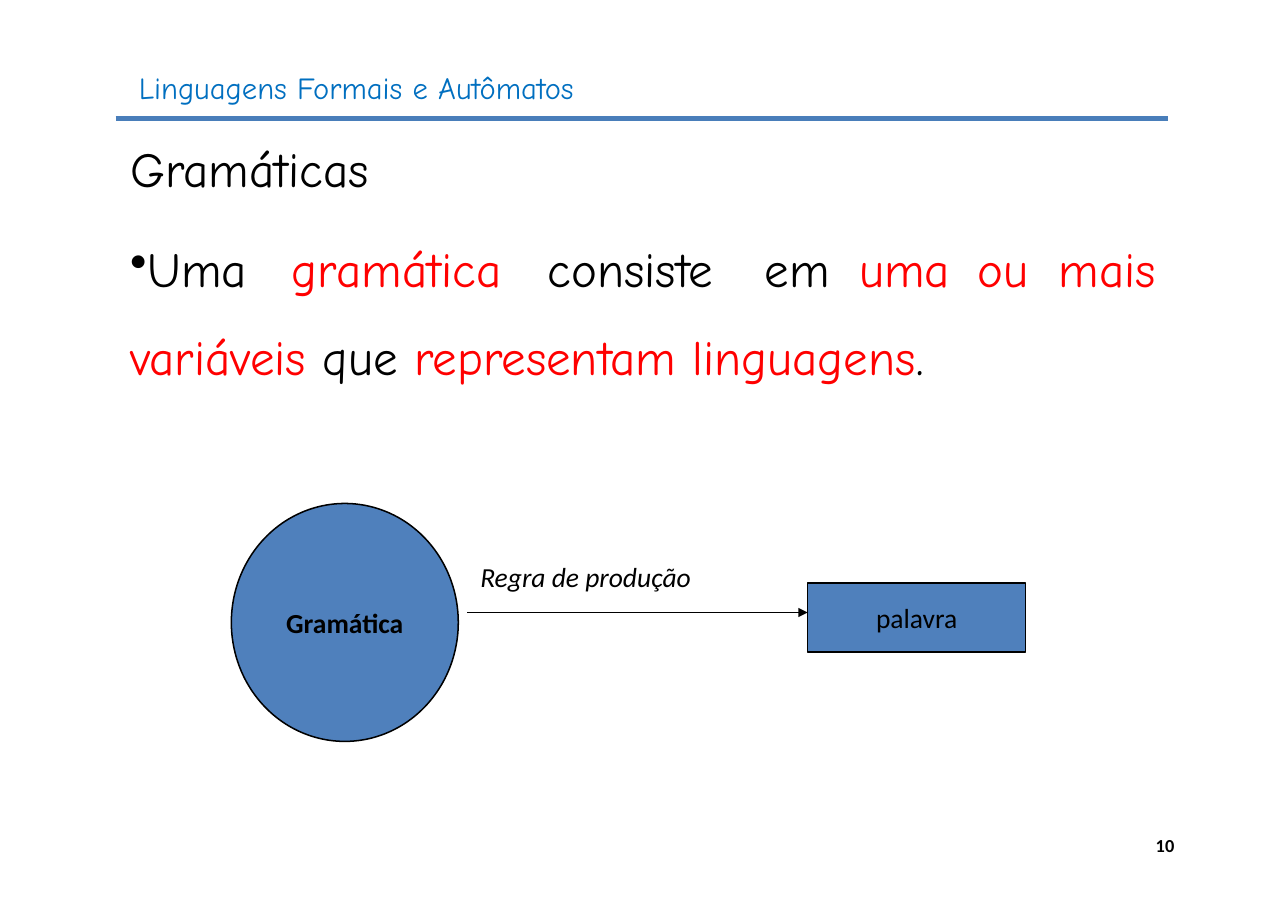
from dataclasses import dataclass

import pptx
import pptx.dml.color
import pptx.enum.shapes
import pptx.enum.text
import pptx.oxml.ns
import pptx.util
from lxml import etree
from pptx.util import Inches


@dataclass(frozen=True)
class Theme:
    hand: str = "Comic Neue"
    sans: str = "Calibri"
    black: str = "000000"
    red: str = "FF0000"
    header: str = "006FC0"
    rule: str = "497EBA"
    node: str = "4F80BC"
    body_size: int = 32
    header_size: int = 20
    label_size: int = 18
    number_size: int = 12


THEME = Theme()


def rgb(value):
    return pptx.dml.color.RGBColor.from_string(value)


def add_element(parent, tag, **attributes):
    element = etree.SubElement(parent, pptx.oxml.ns.qn(tag))
    for name, value in attributes.items():
        element.set(name, str(value))
    return element


def add_run(p, text, font, size, color=THEME.black, bold=False, italic=False):
    r = p.add_run()
    r.text = text
    r.font.name = font
    r.font.size = pptx.util.Pt(size)
    r.font.color.rgb = rgb(color)
    r.font.bold = bold
    r.font.italic = italic


def set_margins(tf):
    tf.margin_left = tf.margin_top = tf.margin_right = tf.margin_bottom = 0
    tf.word_wrap = True


def add_text(s, left, top, width, height):
    """Add an empty text box without margins and return its text frame."""
    tf = s.shapes.add_textbox(Inches(left), Inches(top), Inches(width), Inches(height)).text_frame
    set_margins(tf)
    return tf


def add_bullet(p, tab_stops):
    """Give the paragraph a bullet without hanging indent, and left tab stops in inches."""
    pPr = p._p.get_or_add_pPr()
    add_element(pPr, "a:buChar", char="•")
    tabs = add_element(pPr, "a:tabLst")
    for stop in tab_stops:
        add_element(tabs, "a:tab", pos=int(Inches(stop)), algn="l")


def add_node(s, kind, left, top, width, height, text, bold=False):
    sp = s.shapes.add_shape(kind, Inches(left), Inches(top), Inches(width), Inches(height))
    sp.shadow.inherit = False
    sp.fill.solid()
    sp.fill.fore_color.rgb = rgb(THEME.node)
    sp.line.color.rgb = rgb(THEME.black)
    sp.line.width = pptx.util.Pt(1)
    tf = sp.text_frame
    set_margins(tf)
    tf.vertical_anchor = pptx.enum.text.MSO_ANCHOR.MIDDLE
    p = tf.paragraphs[0]
    p.alignment = pptx.enum.text.PP_ALIGN.CENTER
    add_run(p, text, THEME.sans, THEME.label_size, bold=bold)


def add_line(s, left, right, y, color, width, arrow=False):
    line = s.shapes.add_connector(
        pptx.enum.shapes.MSO_CONNECTOR.STRAIGHT, Inches(left), Inches(y), Inches(right), Inches(y))
    line.line.color.rgb = rgb(color)
    line.line.width = pptx.util.Pt(width)
    if arrow:
        add_element(line.line._get_or_add_ln(), "a:tailEnd", type="triangle")
    add_element(line._element.spPr, "a:effectLst")


def add_header(s):
    tf = add_text(s, 1.26, 0.63, 6.15, 0.36)
    add_run(tf.paragraphs[0], "Linguagens Formais e Autômatos",
            THEME.hand, THEME.header_size, THEME.header)
    add_line(s, 1.05, 10.6, 1.08, THEME.rule, 3.25)


def add_body(s):
    tf = add_text(s, 1.18, 1.26, 9.35, 2.25)
    add_run(tf.paragraphs[0], "Gramáticas", THEME.hand, THEME.body_size)
    p = tf.add_paragraph()
    add_bullet(p, (0.3, 1.47, 3.79, 5.76, 6.62, 7.69, 8.43))
    p.line_spacing = 1.5
    p.space_before = pptx.util.Pt(7.7)
    for text, color in (
        ("Uma\t", THEME.black),
        ("gramática\t", THEME.red),
        ("consiste\tem\t", THEME.black),
        ("uma\tou\tmais variáveis ", THEME.red),
        ("que ", THEME.black),
        ("representam linguagens", THEME.red),
        (".", THEME.black),
    ):
        add_run(p, text, THEME.hand, THEME.body_size, color)


def add_diagram(s):
    shapes = pptx.enum.shapes.MSO_SHAPE
    add_node(s, shapes.OVAL, 2.1, 4.57, 2.06, 2.16, "Gramática", bold=True)
    add_line(s, 4.24, 7.33, 5.56, THEME.black, 1.25, arrow=True)
    add_node(s, shapes.RECTANGLE, 7.33, 5.29, 1.98, 0.63, "palavra")
    tf = add_text(s, 4.36, 5.08, 2.1, 0.33)
    add_run(tf.paragraphs[0], "Regra de produção", THEME.sans, THEME.label_size, italic=True)


def add_page_number(s):
    p = add_text(s, 10.49, 7.6, 0.27, 0.19).paragraphs[0]
    p.line_spacing = pptx.util.Pt(12.4)
    add_run(p, "10", THEME.sans, THEME.number_size, bold=True)


def main():
    prs = pptx.Presentation()
    prs.slide_width = Inches(11.69)
    prs.slide_height = Inches(8.26)
    s = prs.slides.add_slide(prs.slide_layouts[6])
    add_header(s)
    add_body(s)
    add_diagram(s)
    add_page_number(s)
    prs.save("out.pptx")


if __name__ == "__main__":
    main()
